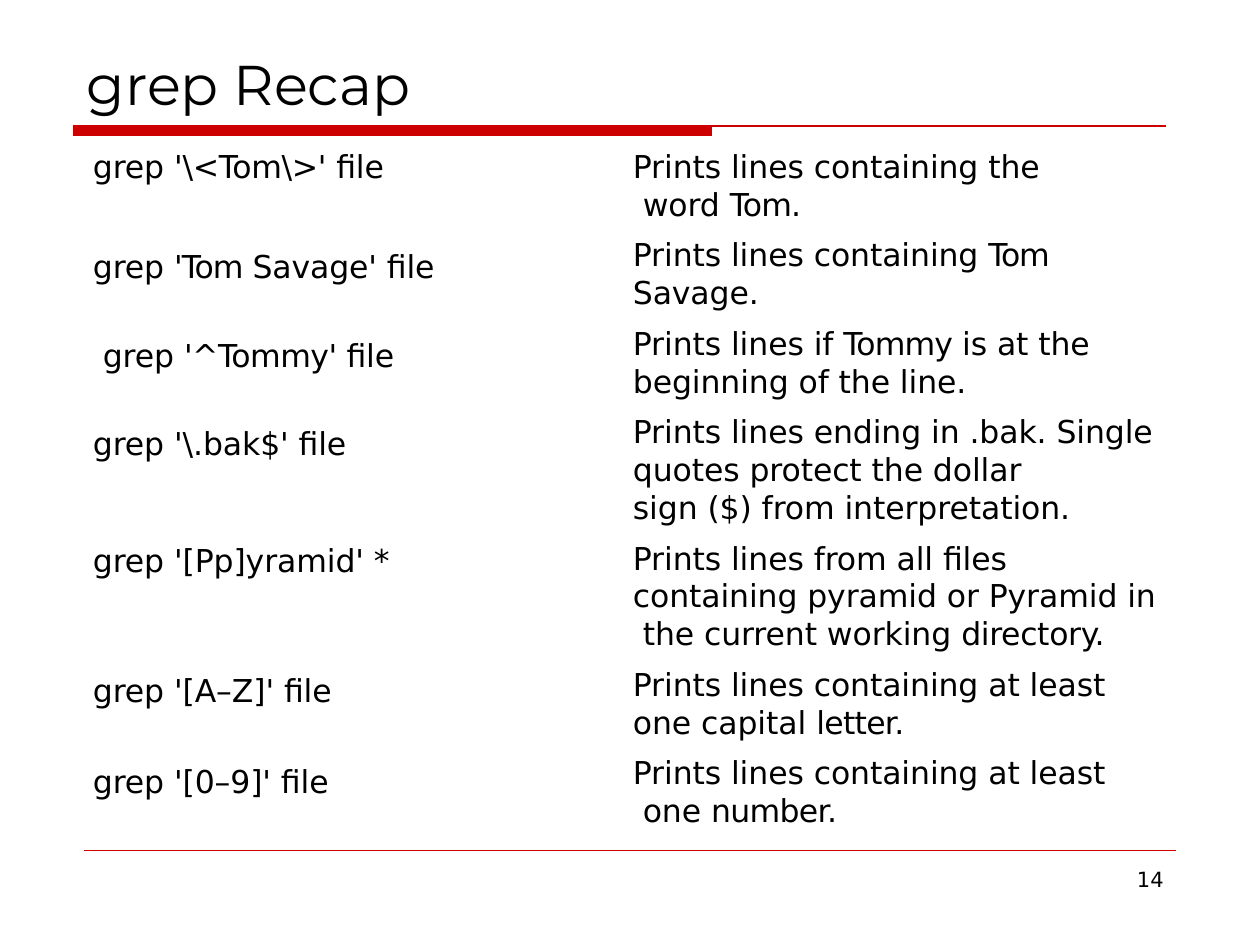
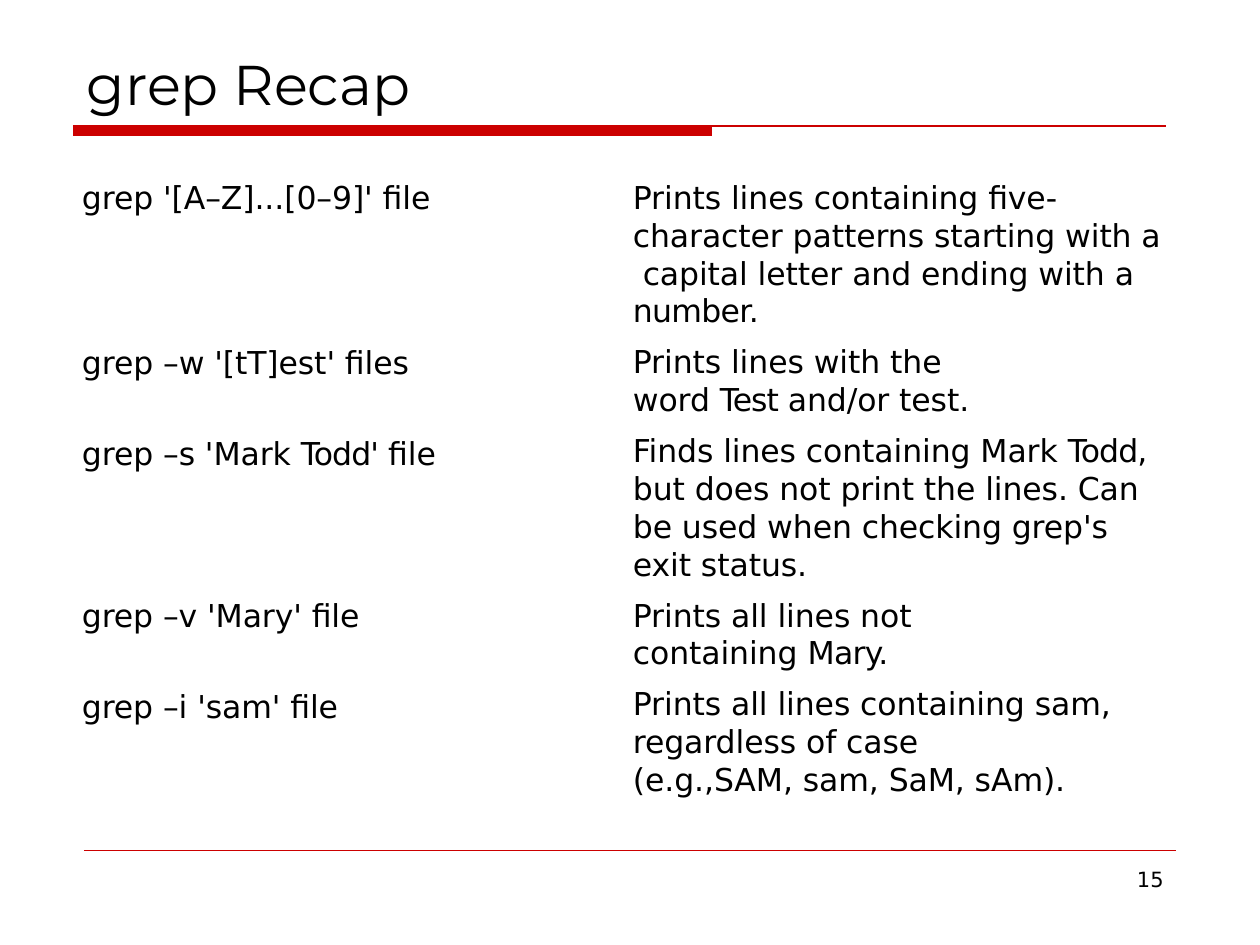
from dataclasses import dataclass
from itertools import groupby

from lxml import etree
from pptx import Presentation
from pptx.dml.color import RGBColor
from pptx.enum.shapes import MSO_CONNECTOR
from pptx.enum.text import MSO_ANCHOR, PP_ALIGN
from pptx.oxml.ns import qn
from pptx.util import Emu, Pt

STRAIGHT = MSO_CONNECTOR.STRAIGHT
TOP = MSO_ANCHOR.TOP
LEFT = PP_ALIGN.LEFT
PIXEL = 914400 // 126          # EMU in one pixel
PIXELS_PER_POINT = 126 / 72


@dataclass(frozen=True)
class Theme:
    ink: RGBColor = RGBColor(0x00, 0x00, 0x00)
    accent: RGBColor = RGBColor(0xCC, 0x00, 0x00)
    cell: RGBColor = RGBColor(0xFF, 0xFF, 0xFF)
    title_font: str = "Montserrat"
    body_font: str = "DejaVu Sans"
    title_size: float = 32
    body_size: float = 18
    number_size: float = 12
    body_leading: float = 21.6
    body_tracking: int = -5    # hundredths of a point


theme = Theme()

# Words set tighter than the body, in hundredths of a point
TIGHT_WORDS = {
    "'Tom": -60, "Tom": -70, "Tom.": -50, "Tommy": -50, "'^Tommy'": -30,
    "'\\<Tom\\>'": -20, "Test": -60, "Todd'": -50, "Todd,": -50,
    "Mary.": -40, "letter.": -40, "number.": -40, "directory.": -20,
}


def add_text(slide, paragraphs, box, *, font=theme.body_font, size=theme.body_size,
             leading=None, gaps=None, indent=0, tracking=0):
    """Add a text box; gaps holds the space before each paragraph in points."""
    shape = slide.shapes.add_textbox(*(Emu(value * PIXEL) for value in box))
    frame = shape.text_frame
    frame.word_wrap = True
    frame.vertical_anchor = TOP
    frame.margin_left = Emu(indent * PIXEL)
    frame.margin_top = Emu(PIXEL)
    frame.margin_right = frame.margin_bottom = 0
    for index, text in enumerate(paragraphs):
        paragraph = frame.add_paragraph() if index else frame.paragraphs[0]
        paragraph.alignment = LEFT
        paragraph.space_before = Pt(gaps[index] if gaps else 1)
        if leading:
            paragraph.line_spacing = Pt(leading)
        for line_index, line in enumerate(text.split("\v")):
            if line_index:
                paragraph.add_line_break()
            words = [word + " " for word in line.split(" ")]
            words[-1] = words[-1].rstrip()
            for spacing, group in groupby(
                    words, lambda word: TIGHT_WORDS.get(word.strip(), tracking)):
                run = paragraph.add_run()
                run.text = "".join(group)
                run.font.name = font
                run.font.size = Pt(size)
                run.font.color.rgb = theme.ink
                if spacing:
                    run.font._element.set("spc", str(spacing))


# Rules shared by the slides: left, right, y, weight in points
RULES = [(73, 712, 131, 6), (73, 1166, 126, 0.72), (84, 1176, 850, 0.25)]
MIDDLE = 629                   # edge between the two columns of cells

# Command boxes hold (command, distance from the command above in pixels)
PAGES = [
    {
        "number": "14",
        "top": 146,
        "height": 685,
        "gap": 7.35,
        "cell_width": 540,
        "row_edges": [141, 229, 318, 406, 533, 659, 747, 835],
        "command_boxes": [
            ((92, 146, 354, 648), [
                ("grep '\\<Tom\\>' file", 0),
                ("grep 'Tom Savage' file", 100),
                (" grep '^Tommy' file", 89),
                ("grep '\\.bak$' file", 88),
                ("grep '[Pp]yramid' *", 117),
                ("grep '[A–Z]' file", 130),
                ("grep '[0–9]' file", 91),
            ]),
        ],
        "descriptions": [
            "Prints lines containing the\v word Tom.",
            "Prints lines containing Tom\vSavage.",
            "Prints lines if Tommy is at the\vbeginning of the line.",
            "Prints lines ending in .bak. Single\vquotes protect the dollar\v"
            "sign ($) from interpretation.",
            "Prints lines from all files\vcontaining pyramid or Pyramid in\v"
            " the current working directory.",
            "Prints lines containing at least\vone capital letter.",
            "Prints lines containing at least\v one number.",
        ],
    },
    {
        "number": "15",
        "top": 177,
        "height": 624,
        "gap": 7.55,
        "cell_width": 551,
        "row_edges": [172, 336, 425, 590, 678, 805],
        "command_boxes": [
            ((81, 177, 375, 42), [("grep '[A–Z]...[0–9]' file", 0)]),
            ((81, 342, 373, 130), [
                ("grep –w '[tT]est' files", 0),
                ("grep –s 'Mark Todd' file", 91),
            ]),
            ((81, 595, 289, 130), [
                ("grep –v 'Mary' file", 0),
                ("grep –i 'sam' file", 91),
            ]),
        ],
        "descriptions": [
            "Prints lines containing five-\vcharacter patterns starting with a\v"
            " capital letter and ending with a\vnumber.",
            "Prints lines with the\vword Test and/or test.",
            "Finds lines containing Mark Todd,\vbut does not print the lines. Can\v"
            "be used when checking grep's\vexit status.",
            "Prints all lines not\vcontaining Mary.",
            "Prints all lines containing sam,\vregardless of case\v"
            "(e.g.,SAM, sam, SaM, sAm).",
        ],
    },
]

presentation = Presentation()
presentation.slide_width = Emu(1260 * PIXEL)
presentation.slide_height = Emu(945 * PIXEL)
blank_layout = presentation.slide_layouts[6]

for page in PAGES:
    slide = presentation.slides.add_slide(blank_layout)

    # Title band and footer rule
    for left, right, y, weight in RULES:
        rule = slide.shapes.add_connector(
            STRAIGHT, *(Emu(value * PIXEL) for value in (left, y, right, y)))
        rule.line.color.rgb = theme.accent
        rule.line.width = Pt(weight)
        etree.SubElement(rule._element.spPr, qn("a:effectLst"))

    # Title
    add_text(slide, ["grep Recap"], (87, 48, 353, 71),
             font=theme.title_font, size=theme.title_size)

    # Cell grounds: the first row has one on the right only
    width = page["cell_width"]
    edges = page["row_edges"]
    for row, (top, bottom) in enumerate(zip(edges, edges[1:])):
        for left in (MIDDLE - width, MIDDLE) if row else (MIDDLE,):
            right = left + width
            builder = slide.shapes.build_freeform(left, bottom, scale=PIXEL)
            builder.add_line_segments([(right, bottom), (right, top), (left, top)])
            cell = builder.convert_to_shape()
            cell.shadow.inherit = False
            cell.fill.solid()
            cell.fill.fore_color.rgb = theme.cell
            cell.line.fill.background()

    # Commands on the left
    for box, commands in page["command_boxes"]:
        gaps = [round(pitch / PIXELS_PER_POINT - theme.body_leading, 1) if pitch else 1
                for _, pitch in commands]
        add_text(slide, [command for command, _ in commands], box, indent=1,
                 leading=theme.body_leading, gaps=gaps, tracking=theme.body_tracking)

    # Page number
    add_text(slide, [page["number"]], (1133, 866, 34, 29),
             size=theme.number_size, indent=4)

    # Descriptions on the right
    descriptions = page["descriptions"]
    add_text(slide, descriptions, (632, page["top"], 540, page["height"]), indent=1,
             leading=theme.body_leading, tracking=theme.body_tracking,
             gaps=[1] + [page["gap"]] * (len(descriptions) - 1))

presentation.save("out.pptx")
